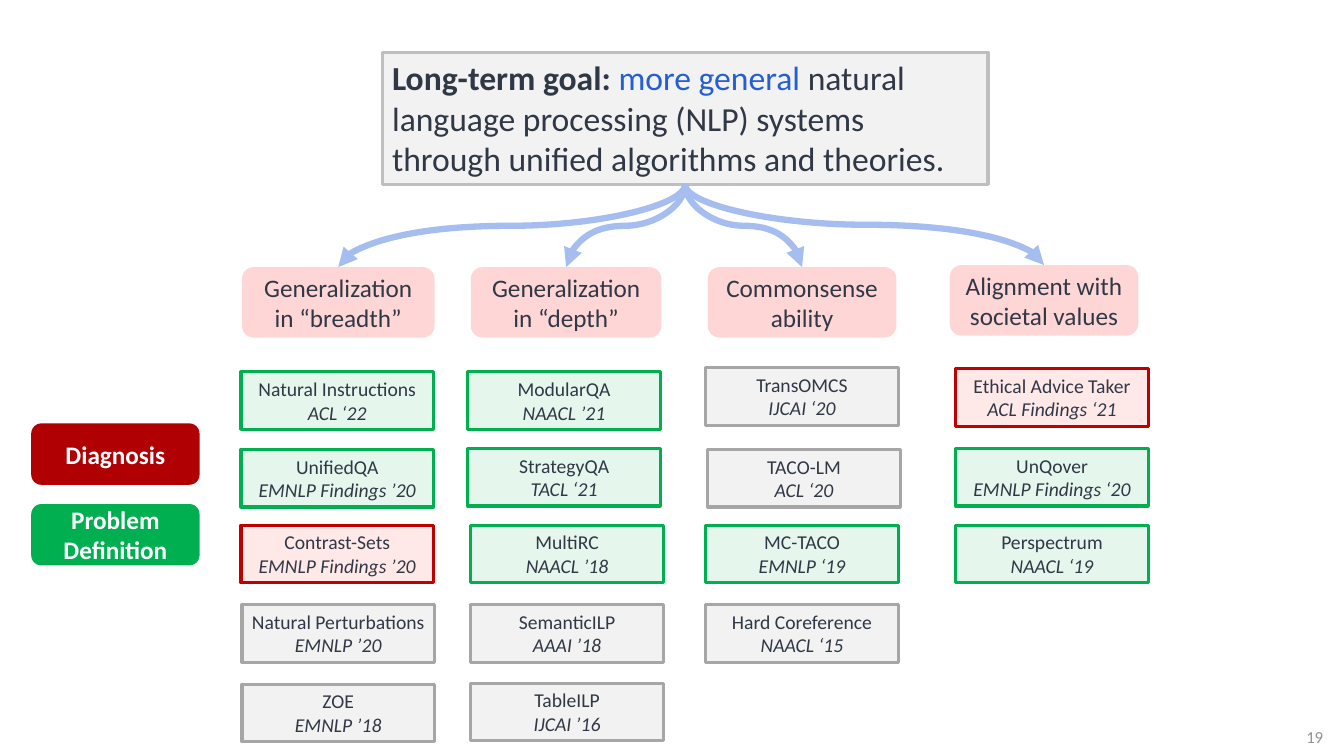
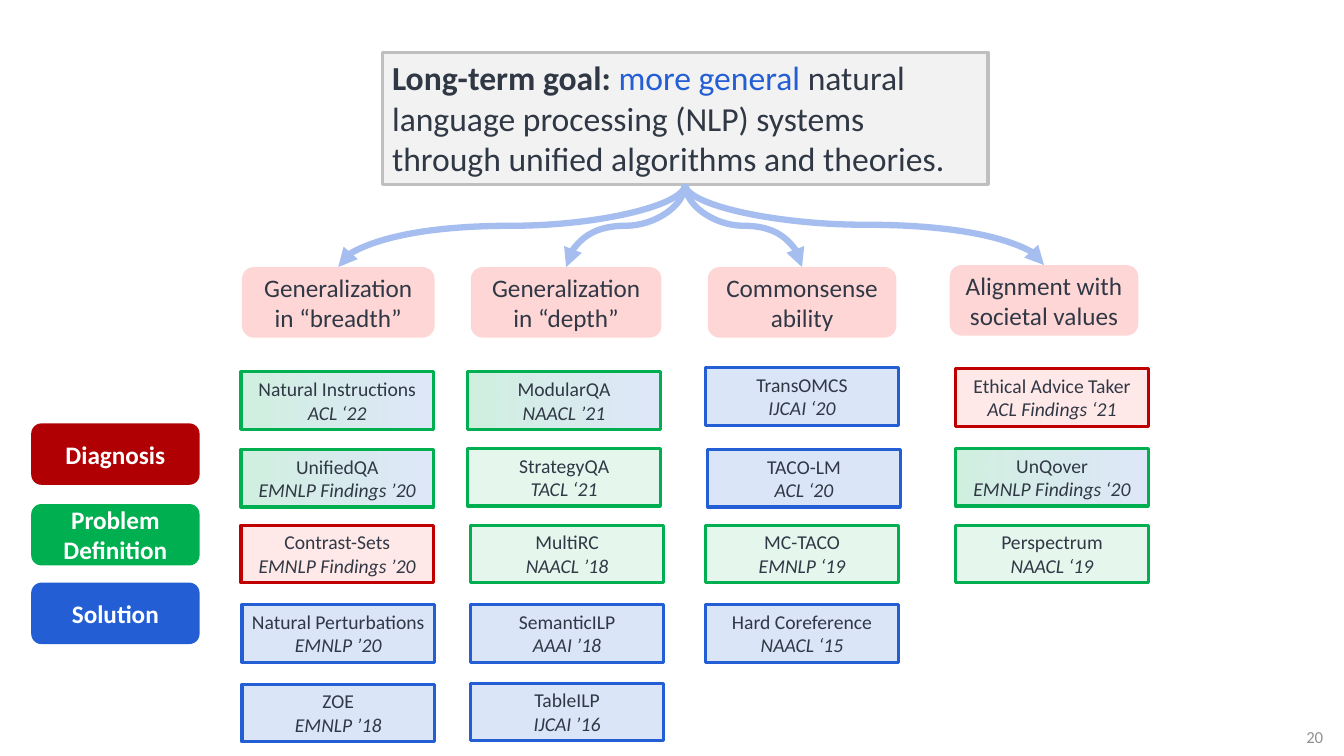
from lxml import etree
from pptx import Presentation
from pptx.dml.color import RGBColor
from pptx.enum import shapes, text
from pptx.oxml import ns
from pptx.util import Inches, Pt

INK = RGBColor(0x30, 0x38, 0x45)
WHITE = RGBColor(0xFF, 0xFF, 0xFF)
MUTED = RGBColor(0x8F, 0x91, 0x94)
PALE = RGBColor(0xF2, 0xF2, 0xF2)
GRAY = RGBColor(0xA6, 0xA6, 0xA6)
SILVER = RGBColor(0xBF, 0xBF, 0xBF)
RED = RGBColor(0xFF, 0x00, 0x00)
BRICK = RGBColor(0xC0, 0x00, 0x00)
CRIMSON = RGBColor(0xB0, 0x00, 0x03)
GREEN = RGBColor(0x00, 0xB0, 0x50)
BLUE = RGBColor(0x24, 0x5E, 0xD4)
SKY = RGBColor(0xA6, 0xBE, 0xEF)

RECT = shapes.MSO_SHAPE.RECTANGLE
ROUND = shapes.MSO_SHAPE.ROUNDED_RECTANGLE

PLAIN = ([(PALE, 100)], GRAY)
DIAG = ([(RED, 9)], BRICK)
PROB = ([(GREEN, 10)], GREEN)
SOLVE = ([(BLUE, 16)], BLUE)
BOTH = ([(GREEN, 19), (BLUE, 15)], GREEN)

GOAL = [
    ("Long-term goal: ", INK, True),
    ("more general ", BLUE, False),
    ("natural language processing (NLP) systems through unified "
     "algorithms and theories.", INK, False),
]
HEADS = [
    (2.4, 2.65, 1.91, "Generalization in “breadth”"),
    (4.67, 2.65, 1.89, "Generalization in “depth”"),
    (7.02, 2.65, 1.87, "Commonsense ability"),
    (9.42, 2.63, 1.87, "Alignment with societal values"),
]
KEYS = [
    (4.2, "Diagnosis", CRIMSON),
    (5, "Problem Definition", GREEN),
    (5.78, "Solution", BLUE),
]
PAPERS = [
    (2.39, 3.69, "Natural Instructions", "ACL ‘22", BOTH),
    (2.39, 4.46, "UnifiedQA", "EMNLP Findings ’20", BOTH),
    (2.39, 5.21, "Contrast-Sets", "EMNLP Findings ’20", DIAG),
    (2.4, 6, "Natural Perturbations", "EMNLP ’20", SOLVE),
    (2.4, 6.79, "ZOE", "EMNLP ’18", SOLVE),
    (4.64, 3.69, "ModularQA", "NAACL ’21", BOTH),
    (4.64, 4.45, "StrategyQA", "TACL ‘21", PROB),
    (4.67, 5.21, "MultiRC", "NAACL ’18", PROB),
    (4.67, 6, "SemanticILP", "AAAI ’18", SOLVE),
    (4.67, 6.78, "TableILP", "IJCAI ’16", SOLVE),
    (7, 3.65, "TransOMCS", "IJCAI ‘20", SOLVE),
    (7.02, 4.46, "TACO-LM", "ACL ‘20", SOLVE),
    (7, 5.21, "MC-TACO", "EMNLP ‘19", PROB),
    (7, 6, "Hard Coreference", "NAACL ‘15", SOLVE),
    (9.48, 3.66, "Ethical Advice Taker", "ACL Findings ‘21", DIAG),
    (9.48, 4.45, "UnQover", "EMNLP Findings ‘20", BOTH),
    (9.48, 5.21, "Perspectrum", "NAACL ‘19", PROB),
]


class Deck:
    """Hold the shared style and the slide being drawn."""

    def __init__(self):
        self.prs = Presentation()
        self.prs.slide_width = Inches(13.33)
        self.prs.slide_height = Inches(7.5)

    def start(self, number):
        self.slide = self.prs.slides.add_slide(self.prs.slide_layouts[6])
        box = self.slide.shapes.add_textbox(
            Inches(12.75), Inches(7.11), Inches(0.58), Inches(0.4))
        box.text_frame.word_wrap = True
        box.text_frame.vertical_anchor = text.MSO_ANCHOR.MIDDLE
        self.put(box.text_frame.paragraphs[0], str(number), 12, MUTED)

    def put(self, par, words, size, color, bold=False, italic=False):
        par.text = words
        par.alignment = text.PP_ALIGN.CENTER
        font = par.font
        font.name, font.size = "Calibri", Pt(size)
        font.bold, font.italic = bold, italic
        font.color.rgb = color

    def shape(self, form, x, y, w, h, stops, edge=None):
        box = self.slide.shapes.add_shape(
            form, Inches(x), Inches(y), Inches(w), Inches(h))
        box.shadow.inherit = False
        if len(stops) > 1:
            box.fill.gradient()
            box.fill.gradient_angle = 0
            for stop, (color, _) in zip(box.fill.gradient_stops, stops):
                stop.color.rgb = color
        else:
            box.fill.solid()
            box.fill.fore_color.rgb = stops[0][0]
        tints = list(box._element.spPr.iter(ns.qn("a:srgbClr")))
        for tint, (_, alpha) in zip(tints, stops):
            if alpha < 100:
                etree.SubElement(tint, ns.qn("a:alpha"), val=str(alpha * 1000))
        if edge is None:
            box.line.fill.background()
        else:
            box.line.color.rgb = edge
            box.line.width = Pt(2.25)
        box.text_frame.word_wrap = True
        return box

    def label(self, x, y, w, h, words, fill, color, bold=False):
        box = self.shape(ROUND, x, y, w, h, [fill])
        box.text_frame.vertical_anchor = text.MSO_ANCHOR.MIDDLE
        self.put(box.text_frame.paragraphs[0], words, 18, color, bold)
        return box

    def grow(self, box):
        frame = box.text_frame
        frame.vertical_anchor = text.MSO_ANCHOR.TOP
        frame.auto_size = text.MSO_AUTO_SIZE.SHAPE_TO_FIT_TEXT
        return frame

    def paper(self, x, y, name, venue, kind):
        frame = self.grow(self.shape(RECT, x, y, 1.91, 0.57, *kind))
        frame.margin_left = frame.margin_right = 0
        self.put(frame.paragraphs[0], name, 14, INK)
        self.put(frame.add_paragraph(), venue, 14, INK, italic=True)

    def goal(self):
        box = self.shape(RECT, 3.79, 0.52, 6.01, 1.31, [(PALE, 100)], SILVER)
        par = self.grow(box).paragraphs[0]
        par.alignment = text.PP_ALIGN.LEFT
        par.font.name, par.font.size = "Calibri", Pt(24)
        for words, color, bold in GOAL:
            run = par.add_run()
            run.text = words
            run.font.bold = bold
            run.font.color.rgb = color
        return box

    def arrow(self, start, end):
        line = self.slide.shapes.add_connector(
            shapes.MSO_CONNECTOR.CURVE, 0, 0, 0, 0)
        line.begin_connect(start, 2)
        line.end_connect(end, 0)
        run, drop = line.end_x - line.begin_x, line.end_y - line.begin_y
        midx = (line.begin_x + line.end_x) // 2
        midy = (line.begin_y + line.end_y) // 2
        line.width, line.height = drop, abs(run)
        line.left, line.top = midx - drop // 2, midy - abs(run) // 2
        props = line._element.spPr
        frame = props.find(ns.qn("a:xfrm"))
        frame.set("rot", str((90 if run < 0 else 270) * 60000))
        frame.set("flipH", "0" if run < 0 else "1")
        frame.set("flipV", "0")
        line.line.color.rgb = SKY
        line.line.width = Pt(4.5)
        etree.SubElement(
            props.find(ns.qn("a:ln")), ns.qn("a:tailEnd"), type="triangle")
        etree.SubElement(props, ns.qn("a:effectLst"))


def main():
    deck = Deck()
    for number, solved in ((19, False), (20, True)):
        deck.start(number)
        for y, words, color in KEYS if solved else KEYS[:2]:
            deck.label(0.31, y, 1.67, 0.61, words, (color, 100), WHITE, True)
        early = {id(SOLVE): PLAIN, id(BOTH): PROB}
        for x, y, name, venue, kind in PAPERS:
            look = kind if solved else early.get(id(kind), kind)
            deck.paper(x, y, name, venue, look)
        goal = deck.goal()
        for x, y, w, words in HEADS:
            head = deck.label(x, y, w, 0.7, words, (RED, 16), INK)
            deck.arrow(goal, head)
    deck.prs.save("out.pptx")


if __name__ == "__main__":
    main()
